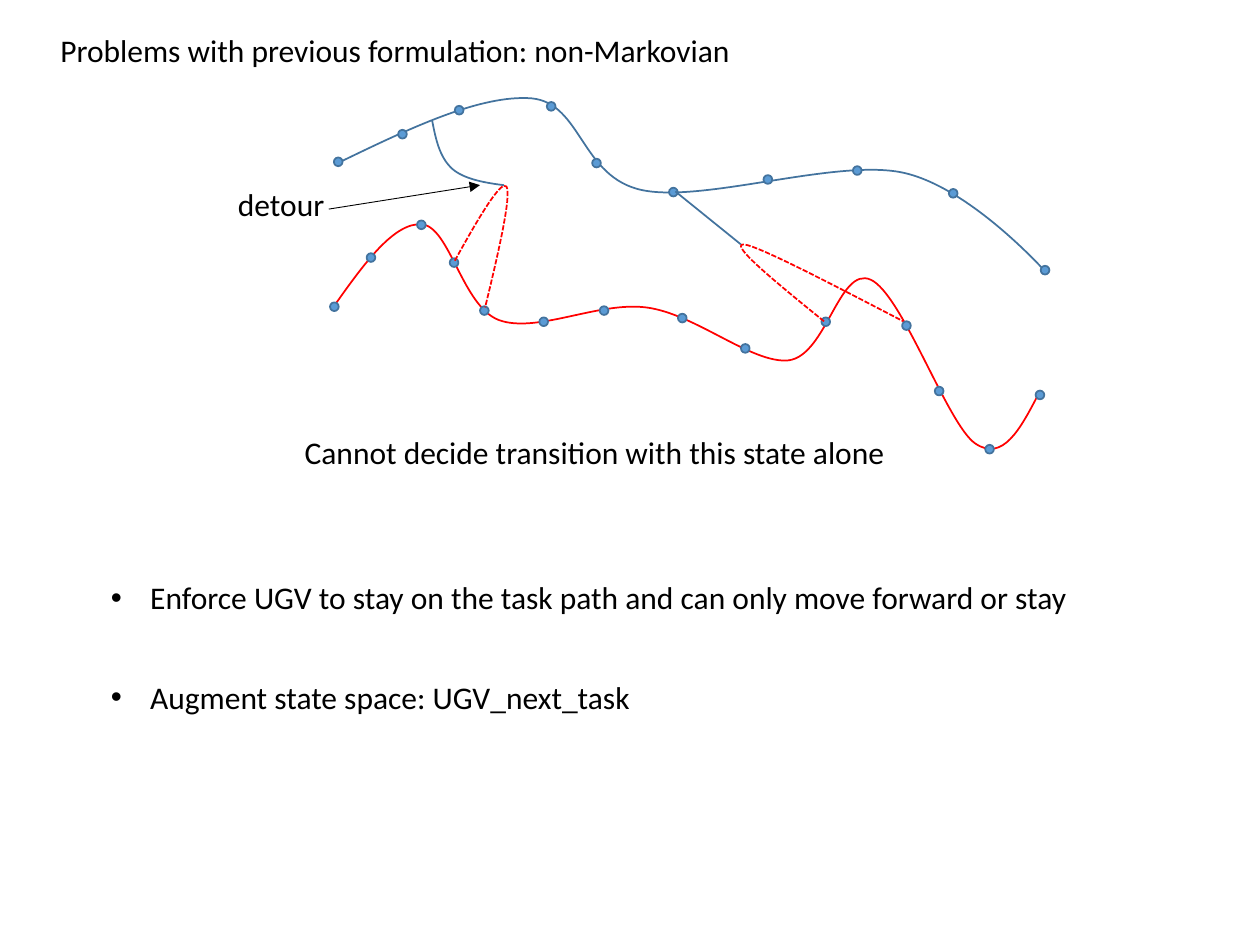
from lxml import etree
from pptx import Presentation
from pptx.dml.color import RGBColor
from pptx.enum import dml, shapes, text
from pptx.oxml import ns
from pptx.util import Pt

COLORS = {"black": "000000", "blue": "43739E", "dot": "5B9BD5", "red": "FF0000"}


def add_label(words, left, top, width, bullet=False):
    box = slide.shapes.add_textbox(Pt(left), Pt(top), Pt(width), Pt(29))
    frame = box.text_frame
    frame.word_wrap = True
    frame.auto_size = text.MSO_AUTO_SIZE.SHAPE_TO_FIT_TEXT
    line = frame.paragraphs[0]
    line.text = words
    if bullet:
        props = line._p.get_or_add_pPr()
        props.set("marL", str(Pt(22.5)))
        props.set("indent", str(-Pt(22.5)))
        etree.SubElement(props, ns.qn("a:buFont")).set("typeface", "Arial")
        etree.SubElement(props, ns.qn("a:buChar")).set("char", "•")
    line.font.name = "Calibri"
    line.font.size = Pt(18)
    line.font.color.rgb = RGBColor.from_string(COLORS["black"])


def add_path(color, dashed, start, segments):
    builder = slide.shapes.build_freeform(Pt(start[0]), Pt(start[1]))
    builder.add_line_segments([(Pt(s[-2]), Pt(s[-1])) for s in segments], close=False)
    path = builder.convert_to_shape()
    path.shadow.inherit = False
    path.fill.background()
    path.line.color.rgb = RGBColor.from_string(COLORS[color])
    path.line.width = Pt(1)
    if dashed:
        path.line.dash_style = dml.MSO_LINE.SQUARE_DOT
    steps = list(path._element.iter(ns.qn("a:lnTo")))
    for step, segment in zip(steps, segments):
        if len(segment) == 6:
            step.tag = ns.qn("a:cubicBezTo")
            for i in (0, 2):
                control = etree.Element(ns.qn("a:pt"))
                control.set("x", str(Pt(segment[i]) - path.left))
                control.set("y", str(Pt(segment[i + 1]) - path.top))
                step.insert(i // 2, control)


deck = Presentation()
deck.slide_width, deck.slide_height = Pt(720), Pt(540)
slide = deck.slides.add_slide(deck.slide_layouts[6])

add_label("Problems with previous formulation: non-Markovian", 27.4, 14.4, 437.8)
add_label("Cannot decide transition with this state alone", 167, 244, 431.3)
add_label("Enforce UGV to stay on the task path and can only move forward or stay",
          56.2, 326.9, 651.6, bullet=True)
add_label("Augment state space: UGV_next_task", 56.2, 383.8, 550, bullet=True)

add_path("blue", False, (195.1, 92.2), [
    (235.4, 72.7, 275, 54, 303.8, 56.2),
    (332.6, 59, 331.9, 101.5, 367.2, 108.7),
    (402.5, 115.9, 477.4, 90.7, 515.5, 98.6),
    (554.4, 106.6, 598.3, 156.2, 598.3, 156.2),
])
add_path("red", False, (190.8, 175), [
    (208.1, 150.5, 225.4, 126.7, 241.2, 128.2),
    (257, 129.6, 264.2, 175, 285.1, 182.9),
    (306.7, 190.8, 342, 172.1, 369.4, 175.7),
    (397.4, 179.3, 429.8, 208.1, 450.7, 205.9),
    (472.3, 203, 479.5, 151.9, 497.5, 159.8),
    (515.5, 167.8, 541.4, 242.6, 557.3, 253.4),
    (573.1, 264.2, 583.2, 244.8, 593.3, 225.4),
])

red_path_stops = [
    (188.6, 172.8), (209.5, 144.7), (238.3, 126), (257, 147.6), (274.3, 175),
    (308.2, 181.4), (342.7, 175), (387.4, 179.3), (423.4, 196.6), (469.4, 181.4),
    (515.5, 183.6), (534.2, 221), (563, 254.2), (591.8, 223.2),
]
blue_path_stops = [
    (190.8, 90), (227.5, 74.2), (259.9, 60.5), (312.5, 58.3), (338.4, 90.7),
    (382.3, 107.3), (436.3, 100.1), (487.4, 95), (542.2, 108), (594.7, 151.9),
]
for left, top in red_path_stops + blue_path_stops:
    stop = slide.shapes.add_shape(shapes.MSO_SHAPE.OVAL, Pt(left), Pt(top), Pt(5), Pt(5))
    stop.shadow.inherit = False
    stop.fill.solid()
    stop.fill.fore_color.rgb = RGBColor.from_string(COLORS["dot"])
    stop.line.color.rgb = RGBColor.from_string(COLORS["blue"])
    stop.line.width = Pt(1)

detour_arrow = slide.shapes.add_connector(
    shapes.MSO_CONNECTOR.STRAIGHT, Pt(187.9), Pt(119.5), Pt(274.3), Pt(105.8))
detour_arrow.line.color.rgb = RGBColor.from_string(COLORS["black"])
detour_arrow.line.width = Pt(0.5)
etree.SubElement(detour_arrow.line._get_or_add_ln(), ns.qn("a:tailEnd")).set("type", "triangle")
etree.SubElement(detour_arrow._element.spPr, ns.qn("a:effectLst"))
add_label("detour", 128.9, 102.2, 77.8)

add_path("blue", False, (247, 69.1), [
    (249.1, 79.9, 251.3, 90, 258.5, 96.5),
    (265, 102.2, 276.5, 104.4, 288, 105.8),
])
add_path("blue", False, (385.9, 109.4), [(423.4, 139.7)])
add_path("red", True, (470.9, 183.6), [
    (444.2, 162, 416.9, 139.7, 424.8, 139.7),
    (432, 139.7, 474.5, 162, 516.2, 183.6),
])
add_path("red", True, (259.9, 149), [
    (272.9, 125.3, 286.6, 102.2, 289.4, 106.6),
    (292.3, 111.6, 285.1, 143.3, 277.2, 175.7),
])

deck.save("out.pptx")
